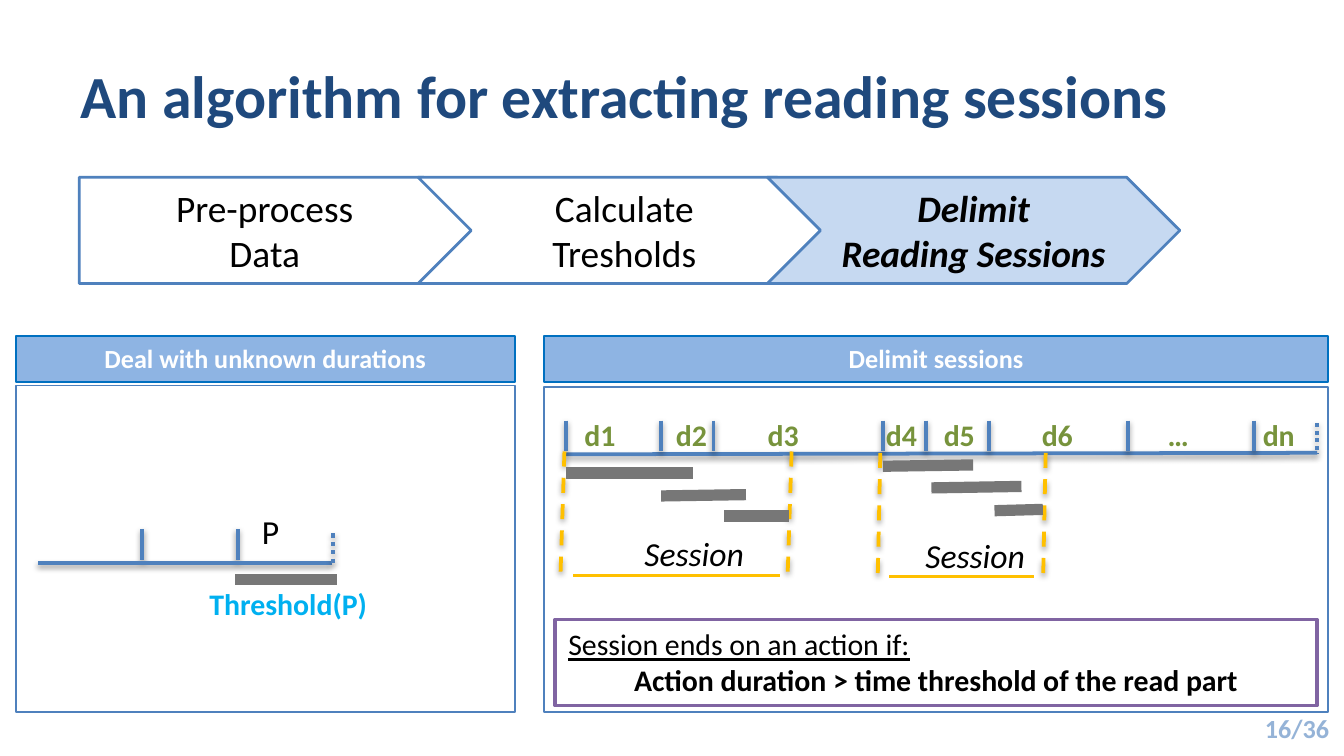
from lxml.etree import SubElement
from pptx import Presentation
from pptx.dml.color import RGBColor
from pptx.enum.dml import MSO_LINE_DASH_STYLE as Dash
from pptx.enum.shapes import MSO_CONNECTOR as Connector, MSO_SHAPE as Shape
from pptx.enum.text import MSO_ANCHOR as Anchor, PP_ALIGN as Align
from pptx.oxml.ns import qn
from pptx.util import Pt

COLORS = {
    "title": "1F497D", "blue": "4F81BD", "pale": "C6D9F1", "header": "8EB4E3",
    "header_line": "0070C0", "number": "95B3D7", "threshold": "00B0F0",
    "label": "77933C", "yellow": "FFC000", "bar": "777777", "purple": "8064A2",
    "white": "FFFFFF", "black": "000000",
}


def rgb(name):
    return RGBColor.from_string(COLORS[name])


def write(frame, text, size=18, color="black", bold=False, italic=False,
          align=Align.LEFT, anchor=Anchor.TOP, wrap=True):
    """Fill a text frame, one paragraph for each line of text."""
    frame.word_wrap = wrap
    frame.vertical_anchor = anchor
    frame.text = text
    for paragraph in frame.paragraphs:
        paragraph.alignment = align
        for run in paragraph.runs:
            font = run.font
            font.name, font.size = "Calibri", Pt(size)
            font.bold, font.italic = bold, italic
            font.color.rgb = rgb(color)
    return frame


def add_text(slide, left, top, width, height, text, **style):
    box = slide.shapes.add_textbox(Pt(left), Pt(top), Pt(width), Pt(height))
    return write(box.text_frame, text, **style)


def add_box(slide, kind, left, top, width, height, fill, line, weight):
    shape = slide.shapes.add_shape(kind, Pt(left), Pt(top), Pt(width), Pt(height))
    shape.shadow.inherit = False
    shape.fill.solid()
    shape.fill.fore_color.rgb = rgb(fill)
    shape.line.color.rgb = rgb(line)
    shape.line.width = Pt(weight)
    return shape


def add_line(slide, x1, y1, x2, y2, color="blue", weight=2, dash=None, shadow=False):
    line = slide.shapes.add_connector(Connector.STRAIGHT, Pt(x1), Pt(y1), Pt(x2), Pt(y2))
    line.line.color.rgb = rgb(color)
    line.line.width = Pt(weight)
    if dash:
        line.line.dash_style = dash
    effects = SubElement(line._element.spPr, qn("a:effectLst"))
    if shadow:
        outer = SubElement(effects, qn("a:outerShdw"), blurRad=str(Pt(3.1)),
                           dist=str(Pt(1.6)), dir="5400000", rotWithShape="0")
        tint = SubElement(outer, qn("a:srgbClr"), val=COLORS["black"])
        SubElement(tint, qn("a:alpha"), val="38000")


def add_panel(slide, left, width, top, heading):
    add_box(slide, Shape.RECTANGLE, left, top, width, 381.6 - top, "white", "blue", 1)
    header = add_box(slide, Shape.RECTANGLE, left, 180, width, 24.5,
                     "header", "header_line", 1)
    write(header.text_frame, heading, size=14, color="white", bold=True,
          align=Align.CENTER)


def add_tabs(paragraph, positions):
    tabs = SubElement(paragraph._p.get_or_add_pPr(), qn("a:tabLst"))
    for position in positions:
        SubElement(tabs, qn("a:tab"), pos=str(Pt(position)), algn="l")


def add_session(slide, start, end, top, lean, text_left):
    for x in (start, end):
        add_line(slide, x, top, x - lean, top + 68.4, "yellow", dash=Dash.DASH, shadow=True)
    add_text(slide, text_left, top + 40.3, 68.4, 28.8, "Session", italic=True,
             align=Align.CENTER, wrap=False)
    add_line(slide, start + 4.7, top + 66.3, end - 6, top + 66.3, "yellow", 1.5)


def add_steps(slide):
    steps = [
        (Shape.PENTAGON, 42.5, 213, "white", "Pre-process\nData"),
        (Shape.CHEVRON, 224, 221, "white", "Calculate\nTresholds"),
        (Shape.CHEVRON, 411.1, 221, "pale", "Delimit\nReading Sessions"),
    ]
    for kind, left, width, fill, text in steps:
        step = add_box(slide, kind, left, 95, width, 56.9, fill, "blue", 1.5)
        current = fill == "pale"
        write(step.text_frame, text, size=20, bold=current, italic=current,
              align=Align.CENTER, anchor=Anchor.MIDDLE)


def add_unknown_durations(slide):
    add_panel(slide, 8.6, 267.1, 206.6, "Deal with unknown durations")
    for x in (76.3, 127.4):
        add_line(slide, x, 283.3, x, 300.2, weight=2.25, shadow=True)
    add_line(slide, 177.8, 301.7, 20.2, 301.7, weight=2.25, shadow=True)
    add_text(slide, 133.2, 270, 45.4, 28.8, "P")
    add_text(slide, 105.1, 310.3, 100.1, 26.6, "Threshold(P)", size=16,
             color="threshold", bold=True, wrap=False)
    add_line(slide, 126, 310.3, 180.7, 310.3, "bar", 6)
    add_line(slide, 178.6, 285.8, 178.6, 303.1, weight=2.25, dash=Dash.ROUND_DOT, shadow=True)


def add_delimited_sessions(slide):
    add_panel(slide, 291.6, 419.8, 207.4, "Delimit sessions")

    # Timeline with its ticks and duration labels
    add_line(slide, 705.6, 226.8, 705.6, 243.4, dash=Dash.ROUND_DOT, shadow=True)
    add_line(slide, 705.6, 242.6, 303.1, 243.4, shadow=True)
    for x in (303.1, 354.2, 382.3, 473, 496.1, 529.9, 604.1, 671.8):
        add_line(slide, x, 225.4, x, 241.9, shadow=True)
    labels = add_text(slide, 306, 219.6, 408, 26.6, "d1\td2\td3\td4\td5\td6\t…\tdn",
                      size=16, color="label", bold=True)
    add_tabs(labels.paragraphs[0], (49, 98.2, 161.5, 192.5, 245, 312.5, 363.4))

    # Sessions and the reading bars inside them
    add_session(slide, 302.4, 424.1, 241.9, 2.2, 337.7)
    add_session(slide, 471.6, 560.2, 242.6, 1.4, 488.2)
    bars = [
        (303.1, 253.4, 371.5, 253.4), (354.2, 265.7, 399.6, 265),
        (388.1, 276.5, 422.6, 276.5), (473, 249.8, 521.3, 249.1),
        (499, 261.4, 547.2, 260.6), (532.8, 273.6, 558.7, 272.9),
    ]
    for bar in bars:
        add_line(slide, *bar, "bar", 6)

    # Rule that ends a session
    rule = add_box(slide, Shape.RECTANGLE, 297.4, 331.9, 408.2, 46.1, "white", "purple", 2)
    frame = write(rule.text_frame, "Session ends on an action if:\n"
                  "Action duration > time threshold of the read part", size=16)
    condition, action = frame.paragraphs
    condition.runs[0].font.underline = True
    action.alignment = Align.CENTER
    action.runs[0].font.bold = True


def main():
    presentation = Presentation()
    presentation.slide_width, presentation.slide_height = Pt(720), Pt(405)
    slide = presentation.slides.add_slide(presentation.slide_layouts[5])

    # Title and page number
    title = slide.shapes.title
    title.left, title.top, title.width, title.height = Pt(36), Pt(16.6), Pt(684), Pt(67.7)
    write(title.text_frame, "An algorithm for extracting reading sessions", size=32,
          color="title", bold=True, anchor=Anchor.MIDDLE)
    number = add_text(slide, 604.1, 379.4, 108, 21.6, "16/36", size=14, color="number",
                      bold=True, align=Align.RIGHT, anchor=Anchor.MIDDLE)
    number.margin_left = number.margin_right = 0

    add_steps(slide)
    add_unknown_durations(slide)
    add_delimited_sessions(slide)
    presentation.save("out.pptx")


main()
